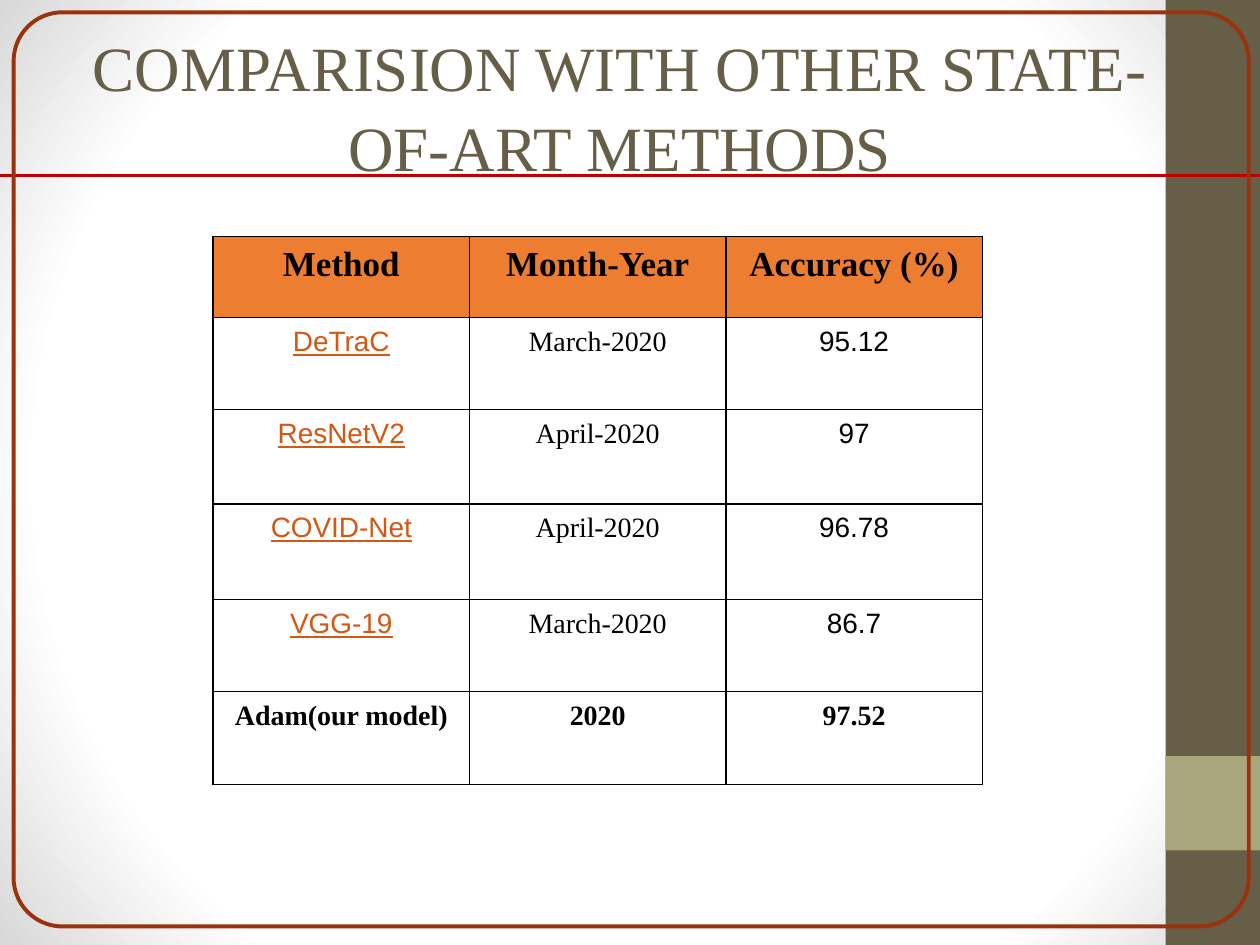
from lxml.etree import SubElement
from pptx import Presentation
from pptx.dml.color import RGBColor
from pptx.enum.shapes import MSO_CONNECTOR, MSO_SHAPE
from pptx.enum.text import MSO_ANCHOR, MSO_AUTO_SIZE, PP_ALIGN
from pptx.oxml import parse_xml
from pptx.oxml.ns import nsdecls, qn
from pptx.util import Pt

COLORS = {
    "olive": "675E47", "sage": "A9A57C", "red": "C00000", "rust": "9B320E",
    "orange": "ED7D31", "link": "D25814", "black": "000000",
    "white": "FFFFFF", "grey": "D8D8D8",
}
SERIF, SANS = "Times New Roman", "Arial"
HEADER = ["Method", "Month-Year", "Accuracy (%)"]
METHODS = [
    ["DeTraC", "March-2020", "95.12"],
    ["ResNetV2", "April-2020", "97"],
    ["COVID-Net", "April-2020", "96.78"],
    ["VGG-19", "March-2020", "86.7"],
]
OUR_MODEL = ["Adam(our model)", "2020", "97.52"]
ROW_HEIGHTS = [46.3, 52.6, 53.9, 54.7, 52.6, 53.1]
METHOD_STYLES = [
    {"font": SANS, "color": "link", "underline": True},
    {},
    {"font": SANS},
]


class SlideBuilder:
    """Holds the style and the current slide, with a method per kind of element."""

    def __init__(self, page):
        self.page = page

    def color(self, name):
        return RGBColor.from_string(COLORS[name])

    def background(self, stops):
        self.page.background.fill.gradient()
        gradient = self.page.element.find(".//" + qn("a:gradFill"))
        for child in list(gradient):
            gradient.remove(child)
        stop_list = SubElement(gradient, qn("a:gsLst"))
        for percent, name in stops:
            stop = SubElement(stop_list, qn("a:gs"), pos=str(percent * 1000))
            SubElement(stop, qn("a:srgbClr"), val=COLORS[name])
        circle = SubElement(gradient, qn("a:path"), path="circle")
        SubElement(circle, qn("a:fillToRect"), l="50000", t="50000", r="50000", b="50000")

    def block(self, left, top, width, height, fill):
        box = self.page.shapes.add_shape(
            MSO_SHAPE.RECTANGLE, Pt(left), Pt(top), Pt(width), Pt(height))
        box.shadow.inherit = False
        box.fill.solid()
        box.fill.fore_color.rgb = self.color(fill)
        box.line.fill.background()

    def frame(self, left, top, width, height, radius, line, weight):
        box = self.page.shapes.add_shape(
            MSO_SHAPE.ROUNDED_RECTANGLE, Pt(left), Pt(top), Pt(width), Pt(height))
        box.adjustments[0] = radius / min(width, height)
        box.shadow.inherit = False
        box.fill.background()
        box.line.color.rgb = self.color(line)
        box.line.width = Pt(weight)

    def rule(self, left, right, top, line, weight):
        connector = self.page.shapes.add_connector(
            MSO_CONNECTOR.STRAIGHT, Pt(left), Pt(top), Pt(right), Pt(top))
        connector.line.color.rgb = self.color(line)
        connector.line.width = Pt(weight)
        SubElement(connector.element.spPr, qn("a:effectLst"))

    def span(self, para, text, size, font=SERIF, color="black", bold=False, underline=False):
        para.alignment = PP_ALIGN.CENTER
        span = para.add_run()
        span.text = text
        span.font.size = Pt(size)
        span.font.name = font
        span.font.bold = bold
        span.font.underline = underline
        span.font.color.rgb = self.color(color)
        return span

    def title(self, text, left, top, width, height):
        box = self.page.shapes.title
        box.left, box.top, box.width, box.height = Pt(left), Pt(top), Pt(width), Pt(height)
        box.element.getparent().append(box.element)
        frame = box.text_frame
        frame.word_wrap = True
        frame.auto_size = MSO_AUTO_SIZE.NONE
        frame.vertical_anchor = MSO_ANCHOR.MIDDLE
        frame.margin_left = frame.margin_right = frame.margin_top = frame.margin_bottom = 0
        para = frame.paragraphs[0]
        para.line_spacing = 1.05
        span = self.span(para, text, 36, color="olive")
        shadow = parse_xml(
            f'<a:effectLst {nsdecls("a")}><a:outerShdw blurRad="50800" dist="38100" '
            'dir="5400000" algn="t" rotWithShape="0"><a:srgbClr val="000000">'
            '<a:alpha val="40000"/></a:srgbClr></a:outerShdw></a:effectLst>')
        span.font._element.find(qn("a:solidFill")).addnext(shadow)

    def cell(self, cell, text, fill=None, size=16, **style):
        cell.margin_left = cell.margin_right = cell.margin_top = cell.margin_bottom = Pt(5)
        cell.vertical_anchor = MSO_ANCHOR.TOP
        self.span(cell.text_frame.paragraphs[0], text, size, **style)
        properties = cell._tc.get_or_add_tcPr()
        for side in ("lnL", "lnR", "lnT", "lnB"):
            border = SubElement(properties, qn(f"a:{side}"), w=str(Pt(1)))
            paint = SubElement(border, qn("a:solidFill"))
            SubElement(paint, qn("a:srgbClr"), val=COLORS["black"])
        if fill:
            cell.fill.solid()
            cell.fill.fore_color.rgb = self.color(fill)
        else:
            cell.fill.background()

    def table(self, left, top, column_width, row_heights, rows):
        columns = len(rows[0])
        table = self.page.shapes.add_table(
            len(rows), columns, Pt(left), Pt(top),
            Pt(column_width * columns), Pt(sum(row_heights))).table
        table.horz_banding = False
        for column in table.columns:
            column.width = Pt(column_width)
        for row, height, entries in zip(table.rows, row_heights, rows):
            row.height = Pt(height)
            for cell, (text, style) in zip(row.cells, entries):
                self.cell(cell, text, **style)


def main():
    deck = Presentation()
    deck.slide_width, deck.slide_height = Pt(720), Pt(540)
    builder = SlideBuilder(deck.slides.add_slide(deck.slide_layouts[5]))
    builder.background([(0, "white"), (75, "white"), (100, "grey")])
    builder.block(666, 0, 54, 540, "olive")
    builder.block(666, 432, 54, 54, "sage")
    builder.rule(0, 720, 100.2, "red", 1.5)
    builder.frame(7.8, 7.1, 705.8, 522.3, 27.8, "rust", 2.25)
    builder.title("COMPARISION WITH OTHER STATE-OF-ART METHODS", 38.4, 15.4, 631.4, 88.6)
    header_style = {"fill": "orange", "size": 20, "bold": True}
    rows = [[(text, header_style) for text in HEADER]]
    rows += [list(zip(method, METHOD_STYLES)) for method in METHODS]
    rows.append([(text, {"bold": True}) for text in OUR_MODEL])
    builder.table(121.8, 135.2, 146.5, ROW_HEIGHTS, rows)
    deck.save("out.pptx")


if __name__ == "__main__":
    main()
